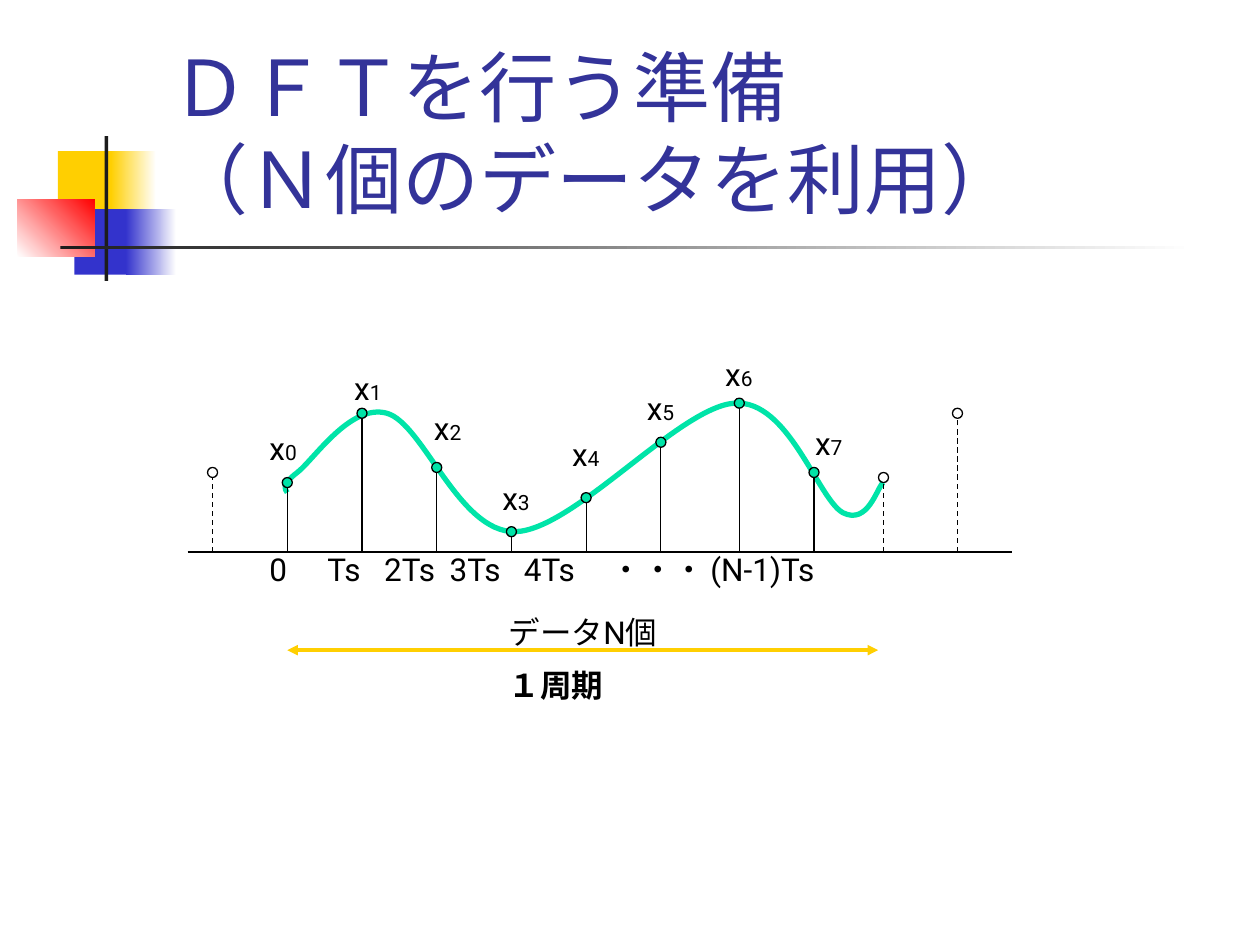
from dataclasses import dataclass
from pptx import Presentation
from pptx.dml.color import RGBColor
from pptx.enum.dml import MSO_LINE
from pptx.enum.shapes import MSO_CONNECTOR, MSO_SHAPE
from pptx.enum.text import MSO_ANCHOR, MSO_AUTO_SIZE, PP_ALIGN
from pptx.oxml.ns import qn
from pptx.util import Inches, Pt
from lxml.etree import SubElement


@dataclass(frozen=True)
class Theme:
    font: str = "Roboto"
    title: str = "333399"
    ink: str = "000000"
    dark: str = "1C1C1C"
    white: str = "FFFFFF"
    yellow: str = "FFCF01"
    blue: str = "3333CC"
    red: str = "FF0000"
    green: str = "00E4A8"
    title_size: int = 44
    text_size: int = 18
    index_size: int = 12
    thin: float = 0.75


T = Theme()
STEP = 0.593   # one sampling interval
DOT = 0.08

# column, height above the axis, label offset from the point
SAMPLES = [
    (0, 0.55, (-0.24, -0.47)), (1, 1.10, (-0.16, -0.40)),
    (2, 0.67, (-0.12, -0.51)), (3, 0.16, (-0.17, -0.47)),
    (4, 0.43, (-0.21, -0.55)), (5, 0.87, (-0.21, -0.47)),
    (6.05, 1.18, (-0.21, -0.43)), (7.05, 0.63, (-0.09, -0.43)),
]
NEIGHBOURS = [(-1, 0.63), (7.98, 0.59), (8.97, 1.10)]

# start point, then three Bezier points for each piece (x, height)
WAVE = [
    (0, 0.47),
    (-0.02, 0.50), (-0.05, 0.53), (0.08, 0.63),
    (0.21, 0.73), (0.50, 1.18), (0.79, 1.10),
    (1.08, 1.02), (1.36, 0.15), (1.81, 0.16),
    (2.27, 0.17), (3.11, 1.15), (3.55, 1.18),
    (3.98, 1.21), (4.21, 0.42), (4.41, 0.31),
    (4.61, 0.21), (4.68, 0.51), (4.73, 0.55),
]
TICKS = ["0", "Ts", "2Ts", "3Ts", "4Ts", "・・・", "(N-1)Ts"]
TICK_STOPS = [0.46, 0.91, 1.43, 2.02, 2.71, 3.44]


def rgb(color):
    return RGBColor.from_string(color)


def add_run(p, text, size, color=T.ink, bold=False):
    r = p.add_run()
    r.text = text
    r.font.name, r.font.size, r.font.bold = T.font, Pt(size), bold
    r.font.color.rgb = rgb(color)
    SubElement(r.font._element, qn("a:ea")).set("typeface", T.font)


def add_text(s, x, y, w, runs, bold=False):
    tb = s.shapes.add_textbox(Inches(x), Inches(y), Inches(w), Inches(0.4))
    tf = tb.text_frame
    tf.word_wrap = True
    tf.margin_right = 0
    for text, size in runs:
        add_run(tf.paragraphs[0], text, size, bold=bold)
    return tf.paragraphs[0]


def add_line(s, x1, y1, x2, y2, color=T.ink, width=T.thin, dashed=False):
    ln = s.shapes.add_connector(MSO_CONNECTOR.STRAIGHT, *map(Inches, (x1, y1, x2, y2)))
    ln.line.color.rgb = rgb(color)
    ln.line.width = Pt(width)
    if dashed:
        ln.line.dash_style = MSO_LINE.DASH
    SubElement(ln._element.spPr, qn("a:effectLst"))
    return ln


def add_block(s, x, y, w, h, colors, angle=0):
    sp = s.shapes.add_shape(MSO_SHAPE.RECTANGLE, *map(Inches, (x, y, w, h)))
    sp.shadow.inherit = False
    sp.line.fill.background()
    if len(colors) == 1:
        sp.fill.solid()
        sp.fill.fore_color.rgb = rgb(colors[0])
    else:
        sp.fill.gradient()
        sp.fill.gradient_angle = angle
        for stop, color in zip(sp.fill.gradient_stops, colors):
            stop.color.rgb = rgb(color)


def add_dot(s, x, y, color=None):
    sp = s.shapes.add_shape(
        MSO_SHAPE.OVAL, Inches(x - DOT / 2), Inches(y - DOT / 2), Inches(DOT), Inches(DOT))
    sp.shadow.inherit = False
    sp.line.color.rgb = rgb(T.ink)
    sp.line.width = Pt(T.thin)
    if color:
        sp.fill.solid()
        sp.fill.fore_color.rgb = rgb(color)
    else:
        sp.fill.background()


def draw_ornament(s, x, y):
    """Coloured squares with a crossing bar and rule."""
    add_block(s, x + 0.32, y + 0.12, 0.48, 0.52, [T.yellow])
    add_block(s, x + 0.74, y + 0.12, 0.36, 0.52, [T.yellow, T.white])
    add_block(s, x + 0.45, y + 0.58, 0.46, 0.52, [T.blue])
    add_block(s, x + 0.86, y + 0.58, 0.40, 0.52, [T.blue, T.white])
    add_block(s, x, y + 0.50, 0.61, 0.46, [T.white, T.red], angle=45)
    add_block(s, x + 0.69, y, 0.03, 1.15, [T.dark])
    add_block(s, x + 0.34, y + 0.87, 9, 0.03, [T.dark, T.white])


def draw_title(s, x, y, w, h, lines):
    sp = s.shapes.title
    sp.left, sp.top, sp.width, sp.height = map(Inches, (x, y, w, h))
    tf = sp.text_frame
    tf.auto_size = MSO_AUTO_SIZE.NONE
    tf.vertical_anchor = MSO_ANCHOR.BOTTOM
    p = tf.paragraphs[0]
    p.alignment = PP_ALIGN.LEFT
    for i, line in enumerate(lines):
        if i:
            p.add_line_break()
        add_run(p, line, T.title_size, T.title)


def draw_wave(s, x, base):
    points = [(Inches(x + dx), Inches(base - h)) for dx, h in WAVE]
    fb = s.shapes.build_freeform(*points[0])
    fb.add_line_segments(points[1:], close=False)
    sp = fb.convert_to_shape()
    sp.shadow.inherit = False
    sp.fill.background()
    sp.line.color.rgb = rgb(T.green)
    sp.line.width = Pt(3)
    # Turn every three straight segments into one Bezier piece
    path = sp._element.find(".//" + qn("a:path"))
    segments = path.findall(qn("a:lnTo"))
    for i in range(0, len(segments), 3):
        curve = SubElement(path, qn("a:cubicBezTo"))
        for seg in segments[i:i + 3]:
            curve.append(seg[0])
            path.remove(seg)


def draw_plot(s, x, base):
    """Sampled wave; x is time zero and base the axis height."""
    add_line(s, x - 0.79, base, x + 5.75, base)
    draw_wave(s, x, base)
    # Samples inside the period
    for i, (col, h, (dx, dy)) in enumerate(SAMPLES):
        px, py = x + col * STEP, base - h
        add_line(s, px, base, px, py)
        add_dot(s, px, py, T.green)
        add_text(s, px + dx, py + dy, 0.43, [("x", T.text_size), (str(i), T.index_size)])
    # Samples outside the period
    for col, h in NEIGHBOURS:
        px, py = x + col * STEP, base - h
        add_line(s, px, base, px, py + DOT / 2, dashed=True)
        add_dot(s, px, py)
    # Time labels on tab stops
    p = add_text(s, x - 0.24, base - 0.06, 5.19, [("\t".join(TICKS), T.text_size)])
    tabs = SubElement(p._p.get_or_add_pPr(), qn("a:tabLst"))
    for pos in TICK_STOPS:
        SubElement(tabs, qn("a:tab"), pos=str(Inches(pos)), algn="l")


def draw_period(s, x, y, w):
    """Double arrow over one period with its two captions."""
    ln = add_line(s, x, y, x + w, y, T.yellow, 2)
    for end in ("a:headEnd", "a:tailEnd"):
        SubElement(ln.line._get_or_add_ln(), qn(end), type="triangle")
    add_text(s, x + 1.66, y - 0.34, 1.7, [("データN個", T.text_size)])
    add_text(s, x + 1.66, y + 0.08, 1.2, [("１周期", T.text_size)], bold=True)


def main():
    prs = Presentation()
    prs.slide_width, prs.slide_height = Inches(10), Inches(7.5)
    s = prs.slides.add_slide(prs.slide_layouts[5])
    draw_ornament(s, 0.14, 1.08)
    draw_title(s, 1.26, 0.23, 8.52, 1.6, ["ＤＦＴを行う準備", "（Ｎ個のデータを利用）"])
    draw_plot(s, 2.28, 4.38)
    draw_period(s, 2.28, 5.16, 4.69)
    prs.save("out.pptx")


if __name__ == "__main__":
    main()
